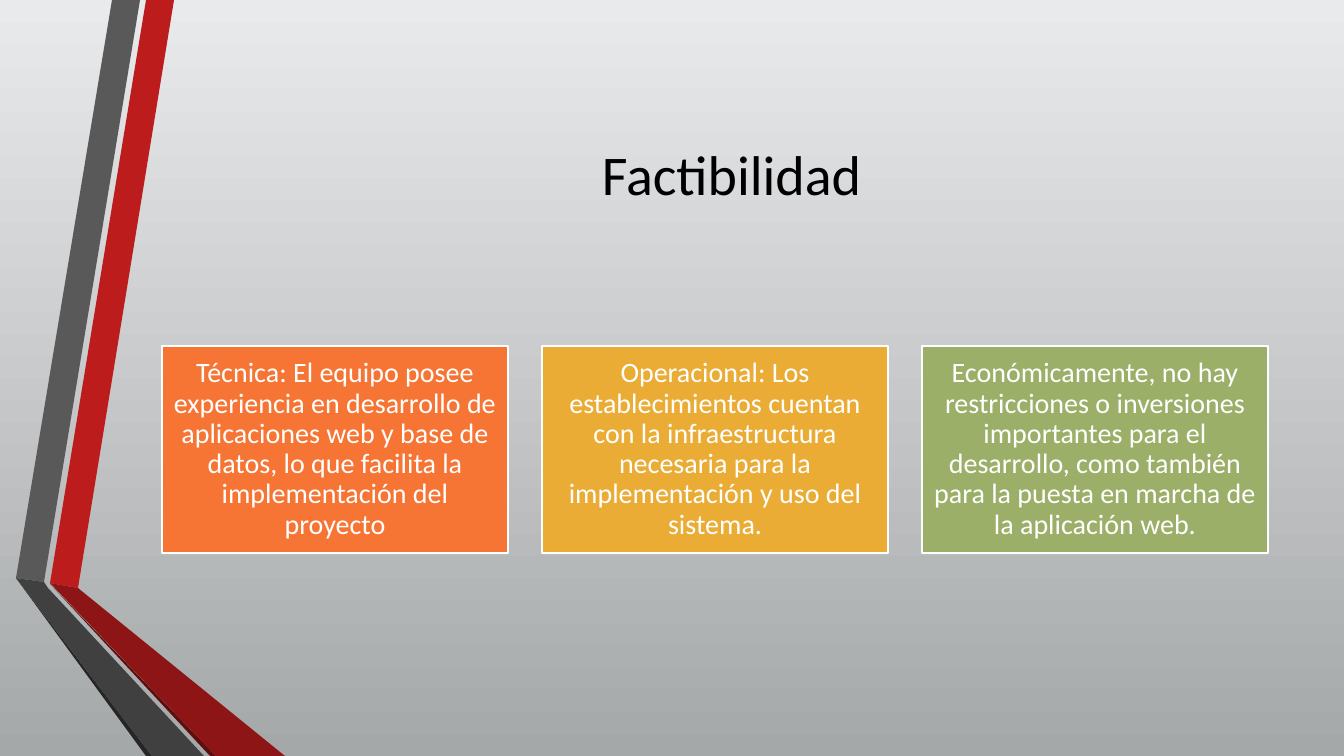
from dataclasses import dataclass

from pptx import Presentation
from pptx.dml.color import RGBColor
from pptx.enum.text import MSO_ANCHOR, PP_ALIGN
from pptx.enum.shapes import MSO_SHAPE
from pptx.slide import Slide
from pptx.text.text import TextFrame
from pptx.util import Emu, Pt

SCALE = 914400 / 100.8  # EMU in one px
WIDE, HIGH = 1344, 756

HEX = {
    "sky": "E9EAEB", "floor": "A5A8A9",
    "red": "BC1C1C", "wine": "8D1515", "blood": "5E0E0E",
    "gray": "595959", "coal": "404040", "night": "262626",
    "orange": "F67534", "gold": "EAAC35", "green": "9BAF68",
    "black": "000000", "white": "FFFFFF",
}


@dataclass
class Band:
    hue: str
    dots: list[tuple[int, int]]


@dataclass
class Card:
    hue: str
    text: str


BANDS = [
    Band("red", [(50, 583), (78, 588), (174, 0), (146, 0)]),
    Band("gray", [(140, 0), (112, 0), (16, 578), (44, 582)]),
    Band("night", [(16, 578), (146, HIGH), (152, HIGH)]),
    Band("blood", [(50, 584), (210, HIGH), (216, HIGH)]),
    Band("wine", [(50, 583), (216, HIGH), (285, HIGH), (78, 588)]),
    Band("coal", [(204, HIGH), (48, 588), (44, 582), (16, 578), (152, HIGH)]),
]

CARDS = [
    Card("orange", "Técnica: El equipo posee experiencia en desarrollo de aplicaciones "
         "web y base de datos, lo que facilita la implementación del proyecto"),
    Card("gold", "Operacional: Los establecimientos cuentan con la infraestructura "
         "necesaria para la implementación y uso del sistema."),
    Card("green", "Económicamente, no hay restricciones o inversiones importantes para el "
         "desarrollo, como también para la puesta en marcha de la aplicación web."),
]
LEFT, TOP, STEP, CARD_W, CARD_H, PAD = 162, 346, 380, 346, 207, 8


def px(size: int) -> Emu:
    return Emu(round(size * SCALE))


def tint(name: str) -> RGBColor:
    return RGBColor.from_string(HEX[name])


def apply(item: object, form: dict) -> None:
    for key, value in form.items():
        setattr(item, key, value)


def write(frame: TextFrame, text: str, size: int, hue: str) -> None:
    frame.text = text
    apply(frame, {"word_wrap": True, "vertical_anchor": MSO_ANCHOR.MIDDLE})
    line = frame.paragraphs[0]
    line.alignment = PP_ALIGN.CENTER
    font = line.runs[0].font
    apply(font, {"name": "Calibri", "size": Pt(size)})
    font.color.rgb = tint(hue)


def draw_band(slide: Slide, band: Band) -> None:
    first, *rest = band.dots
    pen = slide.shapes.build_freeform(*first, scale=SCALE)
    pen.add_line_segments(rest, close=True)
    shape = pen.convert_to_shape()
    shape.shadow.inherit = False
    shape.fill.solid()
    shape.fill.fore_color.rgb = tint(band.hue)
    shape.line.fill.background()


def draw_card(slide: Slide, card: Card, left: int) -> None:
    shape = slide.shapes.add_shape(
        MSO_SHAPE.RECTANGLE, px(left), px(TOP), px(CARD_W), px(CARD_H))
    shape.shadow.inherit = False
    shape.fill.solid()
    shape.fill.fore_color.rgb = tint(card.hue)
    shape.line.color.rgb = tint("white")
    shape.line.width = Pt(1.75)
    frame = shape.text_frame
    write(frame, card.text, 20, "white")
    sides = ("left", "top", "right", "bottom")
    apply(frame, {f"margin_{side}": px(PAD) for side in sides})
    frame.paragraphs[0].line_spacing = 0.9


def main() -> None:
    deck = Presentation()
    apply(deck, {"slide_width": px(WIDE), "slide_height": px(HIGH)})
    slide = deck.slides.add_slide(deck.slide_layouts[5])

    # Background
    back = slide.background.fill
    back.gradient()
    back.gradient_angle = 270
    for stop, hue, spot in zip(back.gradient_stops, ("sky", "floor"), (0, 1)):
        stop.color.rgb = tint(hue)
        stop.position = spot

    # Folded ribbons
    for band in BANDS:
        draw_band(slide, band)

    # Title, placed above the ribbons
    title = slide.shapes.title
    apply(title, {"left": px(195), "top": px(76),
                  "width": px(1073), "height": px(194)})
    write(title.text_frame, "Factibilidad", 40, "black")
    title.element.getparent().append(title.element)

    # Cards
    for spot, card in enumerate(CARDS):
        draw_card(slide, card, LEFT + spot * STEP)

    deck.save("out.pptx")


if __name__ == "__main__":
    main()
